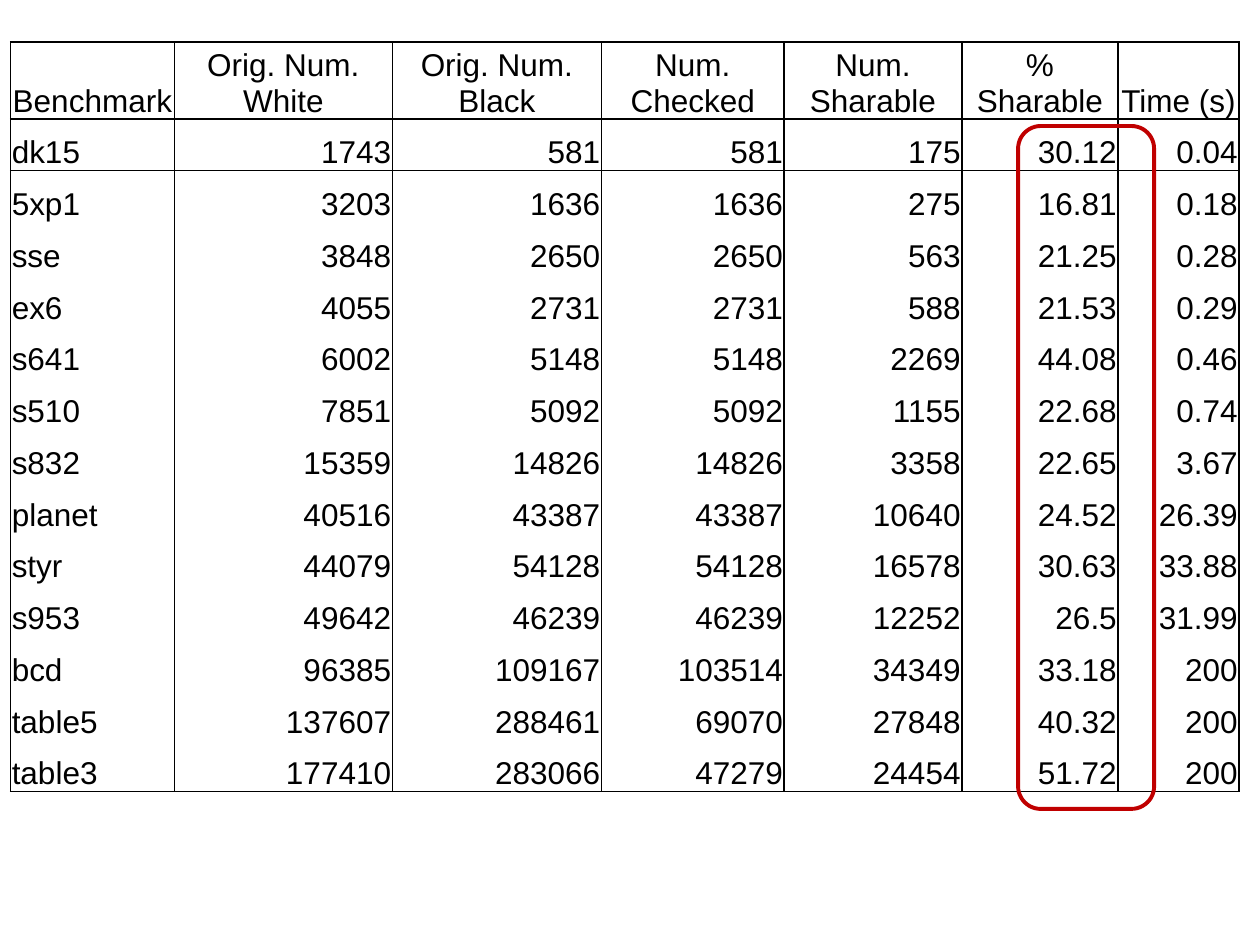
"""Build a slide with a benchmark table and its sharable percentages outlined."""
from lxml.etree import SubElement
from pptx import Presentation
from pptx.dml.color import RGBColor
from pptx.enum.shapes import MSO_SHAPE
from pptx.enum.text import MSO_ANCHOR, PP_ALIGN
from pptx.oxml import parse_xml
from pptx.oxml.ns import nsdecls, qn
from pptx.util import Inches, Pt

COLORS = {"ink": "000000", "highlight": "C00000"}
PLAIN_STYLE = "{2D5ABB26-0587-4C30-8999-92F81FD0307C}"
HEADINGS = ["Benchmark", "Orig. Num. White", "Orig. Num. Black", "Num. Checked",
            "Num. Sharable", "% Sharable", "Time (s)"]
RESULTS = [
    ["dk15", "1743", "581", "581", "175", "30.12", "0.04"],
    ["5xp1", "3203", "1636", "1636", "275", "16.81", "0.18"],
    ["sse", "3848", "2650", "2650", "563", "21.25", "0.28"],
    ["ex6", "4055", "2731", "2731", "588", "21.53", "0.29"],
    ["s641", "6002", "5148", "5148", "2269", "44.08", "0.46"],
    ["s510", "7851", "5092", "5092", "1155", "22.68", "0.74"],
    ["s832", "15359", "14826", "14826", "3358", "22.65", "3.67"],
    ["planet", "40516", "43387", "43387", "10640", "24.52", "26.39"],
    ["styr", "44079", "54128", "54128", "16578", "30.63", "33.88"],
    ["s953", "49642", "46239", "46239", "12252", "26.5", "31.99"],
    ["bcd", "96385", "109167", "103514", "34349", "33.18", "200"],
    ["table5", "137607", "288461", "69070", "27848", "40.32", "200"],
    ["table3", "177410", "283066", "47279", "24454", "51.72", "200"],
]
ROWS = [HEADINGS] + RESULTS
COLUMN_WIDTHS = [1.3, 1.73, 1.66, 1.45, 1.41, 1.24, 0.96]
LEFT, TOP, HEIGHT, HEADING_HEIGHT = 1 / 12, 1 / 3, 5.95, 0.61
RESULT_HEIGHT = (HEIGHT - HEADING_HEIGHT) / len(RESULTS)
ROW_HEIGHTS = [HEADING_HEIGHT] + [RESULT_HEIGHT] * len(RESULTS)
CELL_FORMAT = {
    "vertical_anchor": MSO_ANCHOR.BOTTOM,
    "margin_left": Inches(0.01),
    "margin_right": Inches(0.01),
    "margin_top": Inches(0.01),
    "margin_bottom": 0,
}
FONT_FORMAT = {"name": "Arial", "size": Pt(18)}


def add_borders(cell, sides):
    """Draw a thin line on the given sides of a cell."""
    properties = cell._tc.get_or_add_tcPr()
    for position, side in enumerate(sides):
        border = parse_xml(f'<a:ln{side} {nsdecls("a")} w="{Pt(1)}"/>')
        fill = SubElement(border, qn("a:solidFill"))
        SubElement(fill, qn("a:srgbClr"), val=COLORS["ink"])
        properties.insert(position, border)


deck = Presentation()
deck.slide_width, deck.slide_height = Inches(10), Inches(7.5)
page = deck.slides.add_slide(deck.slide_layouts[6])

frame = page.shapes.add_table(
    len(ROWS), len(HEADINGS), Inches(LEFT), Inches(TOP),
    Inches(sum(COLUMN_WIDTHS)), Inches(HEIGHT))
table = frame.table
table.first_row = table.horz_banding = False
table._tbl.tblPr.find(qn("a:tableStyleId")).text = PLAIN_STYLE
for column, width in zip(table.columns, COLUMN_WIDTHS):
    column.width = Inches(width)
for row, height in zip(table.rows, ROW_HEIGHTS):
    row.height = Inches(height)

for row_index, values in enumerate(ROWS):
    sides = "LR"
    if row_index <= 1:
        sides += "T"
    if row_index in (0, len(RESULTS)):
        sides += "B"
    for column_index, value in enumerate(values):
        cell = table.cell(row_index, column_index)
        for name, setting in CELL_FORMAT.items():
            setattr(cell, name, setting)
        cell.fill.background()
        add_borders(cell, sides)
        para = cell.text_frame.paragraphs[0]
        if row_index == 0:
            para.alignment = PP_ALIGN.CENTER
        else:
            para.alignment = PP_ALIGN.RIGHT if column_index else PP_ALIGN.LEFT
        span = para.add_run()
        span.text = value
        for name, setting in FONT_FORMAT.items():
            setattr(span.font, name, setting)
        span.font.color.rgb = RGBColor.from_string(COLORS["ink"])

outline = page.shapes.add_shape(
    MSO_SHAPE.ROUNDED_RECTANGLE, Inches(8.08), Inches(1), Inches(1.08), Inches(5.42))
outline.shadow.inherit = False
outline.fill.background()
outline.line.color.rgb = RGBColor.from_string(COLORS["highlight"])
outline.line.width = Pt(2.25)

deck.save("out.pptx")
